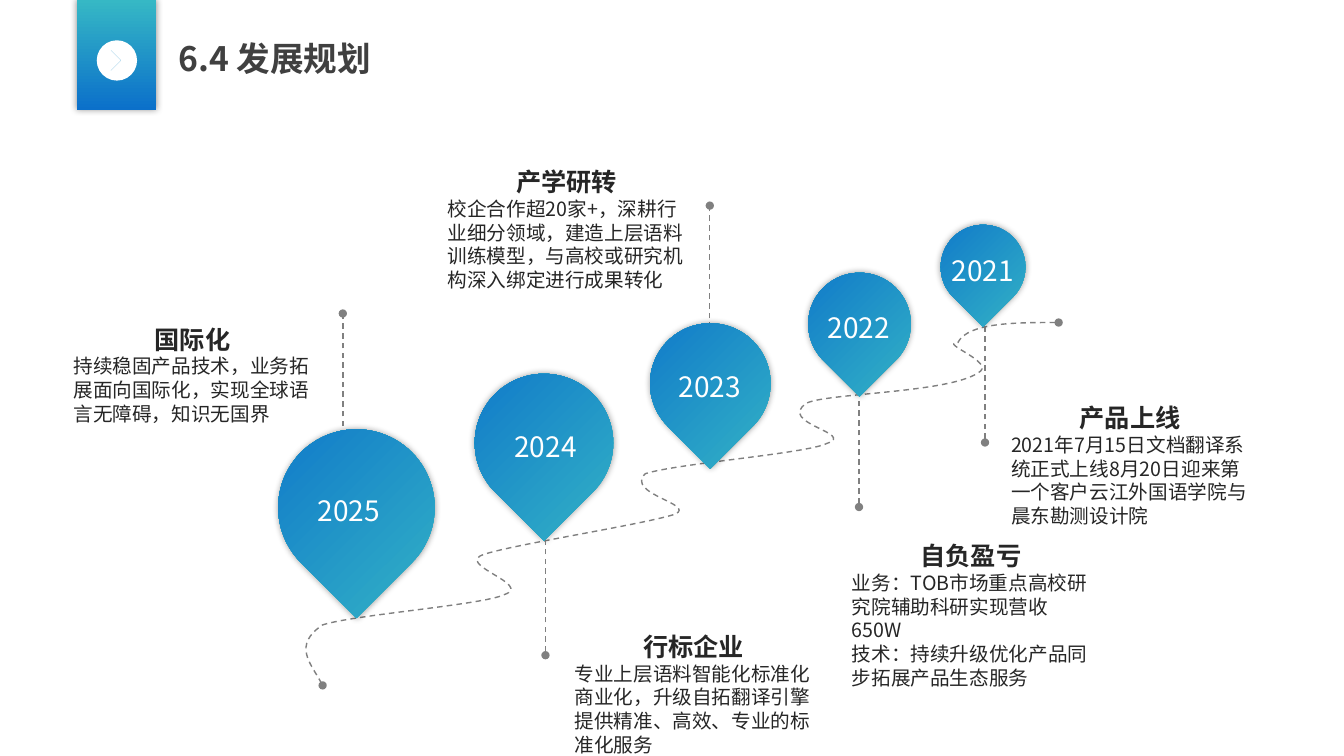
"""Build the development plan slide: a winding road with five dated pins."""
from dataclasses import dataclass

from lxml import etree
from pptx import Presentation
from pptx.dml.color import RGBColor
from pptx.enum.dml import MSO_LINE
from pptx.enum.shapes import MSO_CONNECTOR, MSO_SHAPE
from pptx.enum.text import MSO_AUTO_SIZE, PP_ALIGN
from pptx.oxml.ns import qn
from pptx.util import Inches, Pt

RECTANGLE, OVAL, TEAR = MSO_SHAPE.RECTANGLE, MSO_SHAPE.OVAL, MSO_SHAPE.TEAR
STRAIGHT, DASH = MSO_CONNECTOR.STRAIGHT, MSO_LINE.DASH
LEFT, CENTER = PP_ALIGN.LEFT, PP_ALIGN.CENTER
GROW = MSO_AUTO_SIZE.SHAPE_TO_FIT_TEXT

COLUMNS, ROWS = 133.3, 75
CELL = Inches(0.1)


@dataclass(frozen=True)
class Theme:
    font: str = "Noto Sans CJK SC"
    teal: str = "36B8C5"
    blue: str = "0B70CA"
    chevron: str = "1E90C8"
    white: str = "FFFFFF"
    line: str = "808080"
    title: str = "404040"
    ink: str = "262626"
    title_size: int = 24
    year_size: int = 20
    heading_size: int = 18
    body_size: int = 14
    leading: float = 1.21


THEME = Theme()

CHEVRON = [(11.3, 5), (11, 5.3), (11.8, 6.1), (11.1, 6.7), (11.3, 7), (12.3, 6.1)]

ROAD = [
    (105.3, 31.6),
    (100.6, 32), (96, 32.5), (94.6, 33.5), (93.1, 34.4), (99, 36.3), (96.6, 37.4),
    (94.1, 38.6), (82.2, 39.3), (79.8, 40.4), (77.4, 41.5), (84.7, 43.1), (82.2, 44.2),
    (79.6, 45.4), (67.1, 46.3), (64.5, 47.4), (61.9, 48.6), (69.3, 49.7), (66.6, 51),
    (63.8, 52.3), (50.6, 53.9), (47.9, 55.2), (45.2, 56.5), (52.9, 57.7), (50.3, 58.8),
    (47.7, 60), (35.3, 60.7), (32.3, 62.1), (29.3, 63.6), (30.7, 65.6), (32.2, 67.5),
]

STEM_LENGTH = 12.5
STEMS = [(34, 31.1), (54.1, 52.5), (85.2, 37.8), (97.7, 31.4), (70.4, 20.4)]

FIRST_PIN, PIN_GROWTH = 8.4, 1.78
PINS = [
    ("2021", 97.5, 26.5, 97.5),
    ("2022", 85.25, 32.15, 85.2),
    ("2023", 70.45, 38.05, 70.4),
    ("2024", 53.95, 43.95, 54.1),
    ("2025", 35.35, 50.35, 34.6),
]

CALLOUT_WIDTH = 25.6
CALLOUTS = [
    (43.4, 15.9, 13.5, "产学研转",
     ["校企合作超20家+，深耕行业细分领域，建造上层语料训练模型，与高校或研究机构深入绑定进行成果转化"]),
    (99.3, 39.3, 13.5, "产品上线",
     ["2021年7月15日文档翻译系统正式上线8月20日迎来第一个客户云江外国语学院与晨东勘测设计院"]),
    (83.5, 53, 13.5, "自负盈亏",
     ["业务：TOB市场重点高校研究院辅助科研实现营收650W",
      "技术：持续升级优化产品同步拓展产品生态服务"]),
    (56, 62, 13.5, "行标企业",
     ["专业上层语料智能化标准化商业化，升级自拓翻译引擎提供精准、高效、专业的标准化服务"]),
    (6.3, 31.5, 11.1, "国际化",
     ["持续稳固产品技术，业务拓展面向国际化，实现全球语言无障碍，知识无国界"]),
]


def cells(*lengths):
    """Turn grid cells into slide lengths."""
    return [round(length * CELL) for length in lengths]


def write(para, text, *, size, color, bold=False, align=LEFT):
    """Put one formatted span into a paragraph."""
    para.alignment = align
    para.line_spacing = Pt(round(size * THEME.leading, 1))
    span = para.add_run()
    span.text = text
    span.font.size = Pt(size)
    span.font.bold = bold
    span.font.name = THEME.font
    span.font.color.rgb = RGBColor.from_string(color)
    east_asian = etree.SubElement(span.font._element, qn("a:ea"))
    east_asian.set("typeface", THEME.font)


class Page:
    """A slide drawn on the grid in one theme."""

    def __init__(self, slide, theme):
        self.shapes = slide.shapes
        self.theme = theme

    def solid(self, shape, color):
        """Give a shape a flat fill without outline or shadow."""
        shape.fill.solid()
        shape.fill.fore_color.rgb = RGBColor.from_string(color)
        shape.line.fill.background()
        shape.shadow.inherit = False

    def dashed(self, shape):
        """Style a line as dashed with a dot at both ends."""
        shape.line.color.rgb = RGBColor.from_string(self.theme.line)
        shape.line.width = Pt(1)
        shape.line.dash_style = DASH
        properties = shape.element.spPr
        outline = properties.find(qn("a:ln"))
        for end in ("a:headEnd", "a:tailEnd"):
            etree.SubElement(outline, qn(end)).set("type", "oval")
        etree.SubElement(properties, qn("a:effectLst"))

    def gradient(self, kind, left, top, width, height, rotation=0):
        """Add a preset shape with the teal to blue fill and a soft shadow."""
        shape = self.shapes.add_shape(kind, *cells(left, top, width, height))
        shape.rotation = rotation
        shape.fill.gradient()
        shape.fill.gradient_angle = 270
        for stop, color in zip(shape.fill.gradient_stops, (self.theme.teal, self.theme.blue)):
            stop.color.rgb = RGBColor.from_string(color)
        shape.line.fill.background()
        shape.shadow.inherit = False
        effects = shape.element.spPr.find(qn("a:effectLst"))
        shadow = etree.SubElement(effects, qn("a:outerShdw"), blurRad=str(Pt(5)), dist="0",
                                  dir="0", algn="ctr", rotWithShape="0")
        black = etree.SubElement(shadow, qn("a:srgbClr"), val="000000")
        etree.SubElement(black, qn("a:alpha"), val="40000")

    def disc(self, left, top, size):
        """Add a white circle."""
        self.solid(self.shapes.add_shape(OVAL, *cells(left, top, size, size)), self.theme.white)

    def outline(self, points, close):
        """Add a freeform through the points."""
        builder = self.shapes.build_freeform(*points[0], scale=CELL)
        builder.add_line_segments(points[1:], close=close)
        return builder.convert_to_shape()

    def road(self, points):
        """Add a dashed curve whose points come as Bezier triples."""
        shape = self.outline(points, close=False)
        shape.fill.background()
        segments = list(shape.element.iter(qn("a:lnTo")))
        for first in range(0, len(segments), 3):
            curve = etree.Element(qn("a:cubicBezTo"))
            segments[first].addprevious(curve)
            for segment in segments[first:first + 3]:
                curve.append(segment[0])
                segment.getparent().remove(segment)
        self.dashed(shape)

    def stem(self, column, row):
        """Add a vertical dashed line."""
        ends = cells(column, row + STEM_LENGTH, column, row)
        self.dashed(self.shapes.add_connector(STRAIGHT, *ends))

    def text(self, left, top, width, height, lines):
        """Add a text box with one paragraph per (text, format) pair."""
        box = self.shapes.add_textbox(*cells(left, top, width, height))
        frame = box.text_frame
        frame.word_wrap = True
        frame.auto_size = GROW
        frame.margin_top = Inches(0.06)
        for index, (text, style) in enumerate(lines):
            para = frame.add_paragraph() if index else frame.paragraphs[0]
            write(para, text, **style)

    def pin(self, year, column, row, label_column, size):
        """Add a map pin with its year."""
        self.gradient(TEAR, column - size / 2, row - size / 2, size, size, rotation=135)
        style = dict(size=self.theme.year_size, color=self.theme.white, align=CENTER)
        self.text(label_column - 4.85, row - 2, 9.7, 4.4, [(year, style)])

    def callout(self, left, top, height, heading, bodies):
        """Add a centred heading above body paragraphs."""
        head = dict(size=self.theme.heading_size, color=self.theme.ink, bold=True, align=CENTER)
        body = dict(size=self.theme.body_size, color=self.theme.ink)
        lines = [(heading, head)] + [(text, body) for text in bodies]
        self.text(left, top, CALLOUT_WIDTH, height, lines)


def main():
    """Build and save the deck."""
    deck = Presentation()
    deck.slide_width, deck.slide_height = cells(COLUMNS, ROWS)
    page = Page(deck.slides.add_slide(deck.slide_layouts[6]), THEME)
    page.gradient(RECTANGLE, 7.6, 0, 7.9, 10.9)
    page.disc(9.6, 4, 4)
    page.solid(page.outline(CHEVRON, close=True), THEME.chevron)
    title = dict(size=THEME.title_size, color=THEME.title, bold=True)
    page.text(16.7, 3.1, 24, 5, [("6.4 发展规划", title)])
    for stem in STEMS:
        page.stem(*stem)
    page.road(ROAD)
    for index, pin in enumerate(PINS):
        page.pin(*pin, size=FIRST_PIN + index * PIN_GROWTH)
    for callout in CALLOUTS:
        page.callout(*callout)
    deck.save("out.pptx")


if __name__ == "__main__":
    main()
